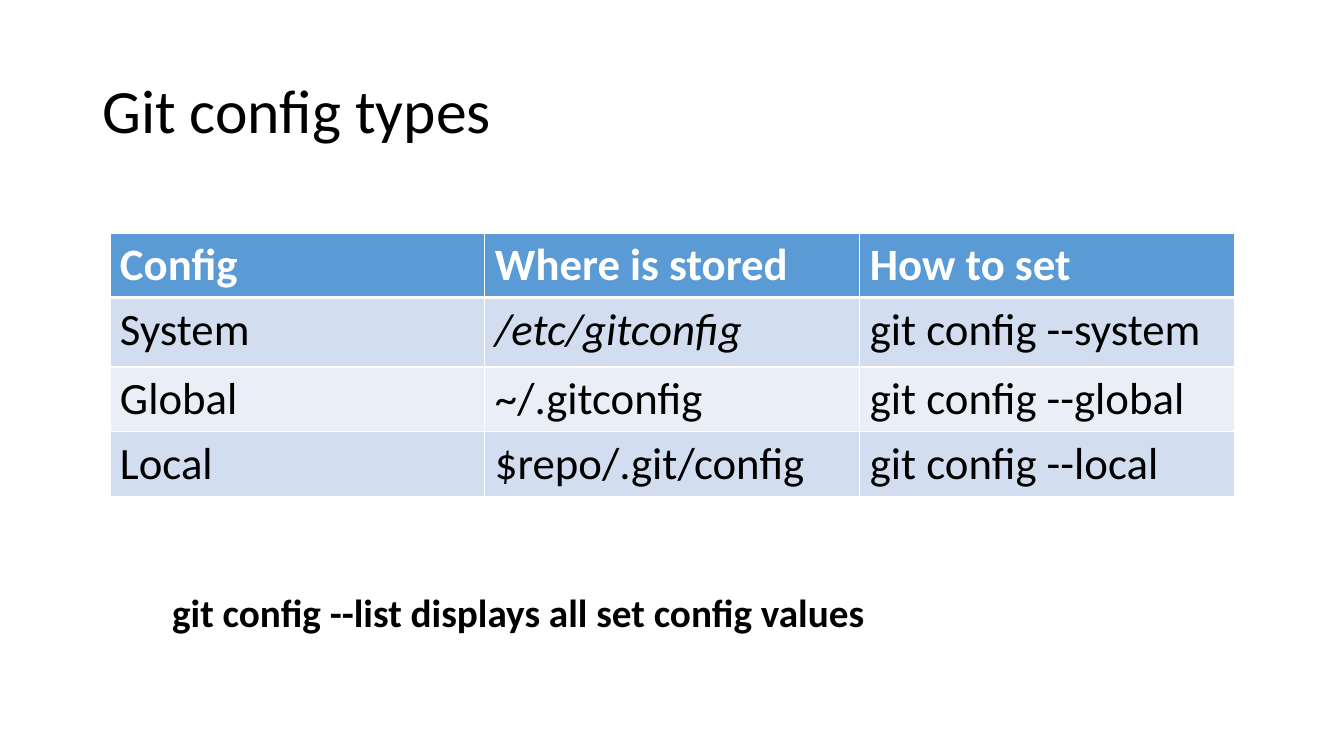
"""Build a slide with a table of the git config types."""
from dataclasses import dataclass

import lxml.etree
import pptx
import pptx.dml.color
import pptx.enum.text
import pptx.oxml.ns
import pptx.table
import pptx.util

Cm = pptx.util.Cm
Pt = pptx.util.Pt
RGBColor = pptx.dml.color.RGBColor

BLACK = RGBColor(0x00, 0x00, 0x00)
WHITE = RGBColor(0xFF, 0xFF, 0xFF)
HEADER_BLUE = RGBColor(0x5B, 0x9B, 0xD5)
BAND_DARK = RGBColor(0xD2, 0xDE, 0xEF)
BAND_LIGHT = RGBColor(0xEA, 0xEF, 0xF7)
FONT = "Calibri"


@dataclass(frozen=True)
class Label:
    text: str
    left: float
    top: float
    width: float
    height: float
    size: int
    bold: bool = False
    wrap: bool = True
    line_spacing: float = 1.0


@dataclass(frozen=True)
class ConfigRow:
    cells: tuple[str, str, str]
    height: float
    fill: RGBColor
    color: RGBColor = BLACK
    bold: bool = False
    italic_columns: tuple[int, ...] = ()


TITLE = Label("Git config types", 2.33, 1.02, 29.21, 3.68, 44, line_spacing=0.9)
LIST_HINT = Label("git config --list displays all set config values",
                  4.09, 14.71, 18.19, 1.45, 28, bold=True, wrap=False)
CONFIG_ROWS = (
    ConfigRow(("Config", "Where is stored", "How to set"), 1.63, HEADER_BLUE, WHITE, bold=True),
    ConfigRow(("System", "/etc/gitconfig", "git config --system"), 1.75, BAND_DARK,
              italic_columns=(1,)),
    ConfigRow(("Global", "~/.gitconfig", "git config --global"), 1.63, BAND_LIGHT),
    ConfigRow(("Local", "$repo/.git/config", "git config --local"), 1.63, BAND_DARK),
)
COLUMN_WIDTH = 9.45


def style_text(paragraph, size: int, color: RGBColor, bold: bool, italic: bool = False) -> None:
    for run in paragraph.runs:
        run.font.name = FONT
        run.font.size = Pt(size)
        run.font.color.rgb = color
        run.font.bold = bold
        run.font.italic = italic


def add_label(slide, label: Label) -> None:
    box = slide.shapes.add_textbox(Cm(label.left), Cm(label.top), Cm(label.width), Cm(label.height))
    frame = box.text_frame
    frame.word_wrap = label.wrap
    frame.text = label.text
    if label.wrap:
        frame.vertical_anchor = pptx.enum.text.MSO_ANCHOR.MIDDLE
    else:
        frame.auto_size = pptx.enum.text.MSO_AUTO_SIZE.SHAPE_TO_FIT_TEXT
    paragraph = frame.paragraphs[0]
    paragraph.line_spacing = label.line_spacing
    style_text(paragraph, label.size, BLACK, label.bold)


def set_borders(cell: pptx.table._Cell, top: int, bottom: int) -> None:
    qn = pptx.oxml.ns.qn
    properties = cell._tc.get_or_add_tcPr()
    sides = (("a:lnL", 1), ("a:lnR", 1), ("a:lnT", top), ("a:lnB", bottom))
    for position, (tag, width) in enumerate(sides):
        border = lxml.etree.Element(qn(tag), w=str(Pt(width)))
        fill = lxml.etree.SubElement(border, qn("a:solidFill"))
        lxml.etree.SubElement(fill, qn("a:srgbClr"), val=str(WHITE))
        properties.insert(position, border)


def add_config_table(slide, rows: tuple[ConfigRow, ...]) -> None:
    column_count = len(rows[0].cells)
    table = slide.shapes.add_table(
        len(rows), column_count, Cm(2.77), Cm(5.87),
        Cm(COLUMN_WIDTH * column_count), Cm(sum(row.height for row in rows))).table
    table.horz_banding = False
    for column in table.columns:
        column.width = Cm(COLUMN_WIDTH)
    for row_index, row in enumerate(rows):
        table.rows[row_index].height = Cm(row.height)
        for column_index, text in enumerate(row.cells):
            cell = table.cell(row_index, column_index)
            cell.text_frame.text = text
            cell.fill.solid()
            cell.fill.fore_color.rgb = row.fill
            set_borders(cell, top=3 if row_index == 1 else 1, bottom=3 if row_index == 0 else 1)
            style_text(cell.text_frame.paragraphs[0], 32, row.color, row.bold,
                       column_index in row.italic_columns)


def main() -> None:
    presentation = pptx.Presentation()
    presentation.slide_width = Cm(33.87)
    presentation.slide_height = Cm(19.05)
    slide = presentation.slides.add_slide(presentation.slide_layouts[6])
    add_label(slide, TITLE)
    add_config_table(slide, CONFIG_ROWS)
    add_label(slide, LIST_HINT)
    presentation.save("out.pptx")


if __name__ == "__main__":
    main()
